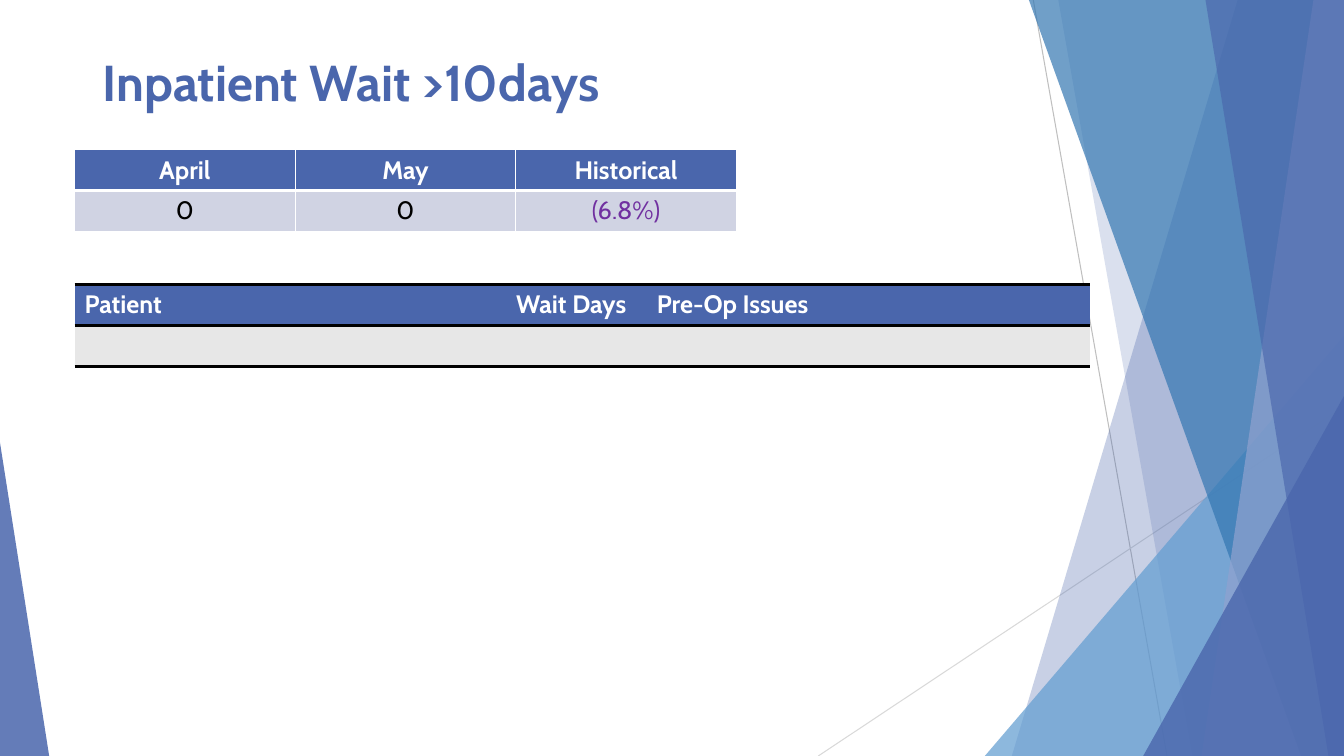
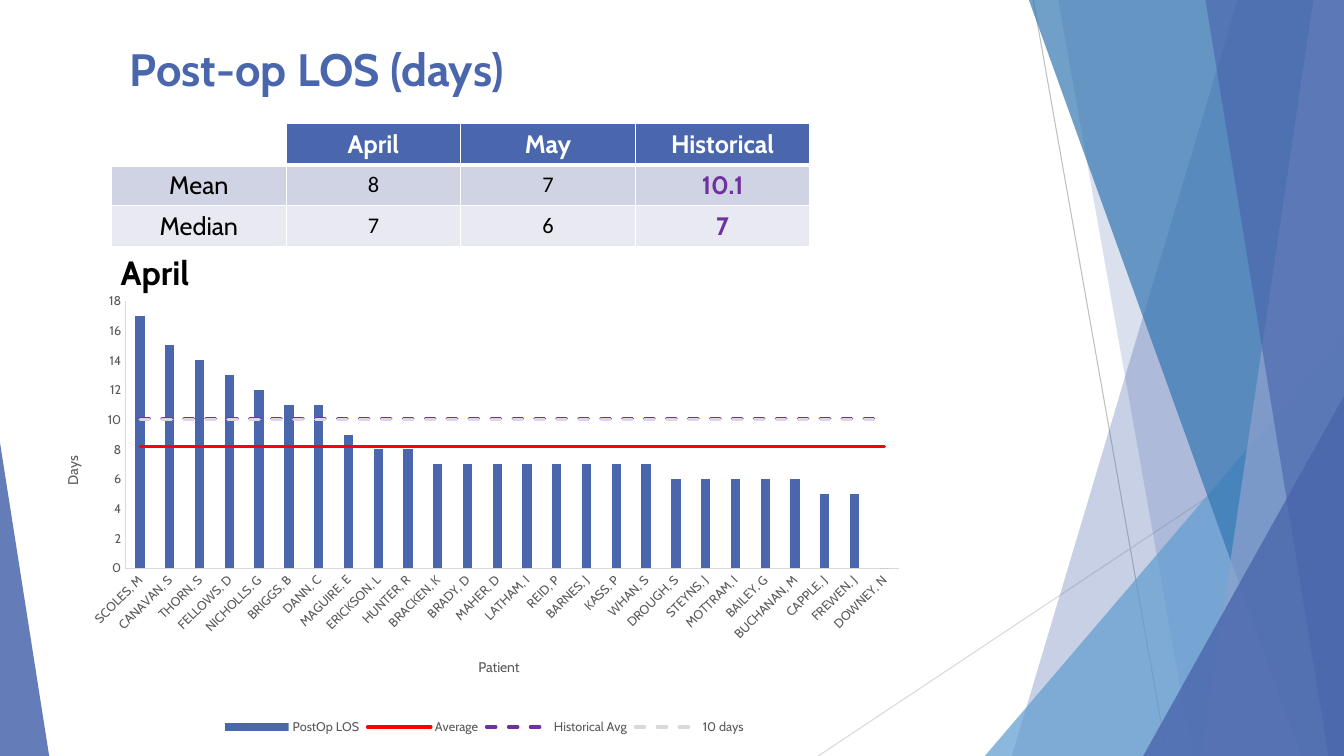
"""Builds two slides on inpatient waits and post-operative length of stay."""
from dataclasses import dataclass

from lxml.etree import SubElement
from pptx import Presentation
from pptx.chart.data import CategoryChartData
from pptx.dml.color import RGBColor
from pptx.enum.chart import XL_CHART_TYPE, XL_LEGEND_POSITION, XL_MARKER_STYLE, XL_TICK_MARK
from pptx.enum.dml import MSO_LINE
from pptx.enum.shapes import MSO_CONNECTOR, MSO_SHAPE
from pptx.enum.text import MSO_ANCHOR, PP_ALIGN
from pptx.oxml.ns import qn
from pptx.util import Cm, Pt

WIDTH, HEIGHT = 33.87, 19.05
CENTER, LEFT = PP_ALIGN.CENTER, PP_ALIGN.LEFT


@dataclass(frozen=True)
class TextStyle:
    size: float
    color: str
    bold: bool = False
    font: str = "Cabin"


@dataclass(frozen=True)
class Theme:
    blue: str = "4A66AC"
    sky: str = "629DD1"
    ocean: str = "3477B2"
    lavender: str = "90A2CF"
    purple: str = "7030A0"
    red: str = "FF0000"
    white: str = "FFFFFF"
    black: str = "000000"
    silver: str = "D9D9D9"
    gray: str = "BFBFBF"
    band_dark: str = "D0D3E3"
    band_light: str = "E9EAF1"
    band_gray: str = "E7E7E7"
    title: TextStyle = TextStyle(36, blue, True)
    title_small: TextStyle = TextStyle(32.4, blue, True)
    subtitle: TextStyle = TextStyle(24, black, True)
    header: TextStyle = TextStyle(18, white, True)
    body: TextStyle = TextStyle(18, black)
    number: TextStyle = TextStyle(16, black, font="Calibri")
    historical: TextStyle = TextStyle(18, purple)
    historical_bold: TextStyle = TextStyle(18, purple, True)
    axis: TextStyle = TextStyle(9, "595959")
    axis_title: TextStyle = TextStyle(10, "595959")


THEME = Theme()
WHITE_GRID = (THEME.white, {"L": 1, "R": 1, "T": 1, "B": 3}, {"L": 1, "R": 1, "B": 1})
BLACK_RULES = (THEME.black, {"T": 2, "B": 2}, {"B": 2})


def rgb(color):
    return RGBColor.from_string(color)


def style_font(font, style):
    font.name, font.size, font.bold = style.font, Pt(style.size), style.bold
    font.color.rgb = rgb(style.color)


def style_line(line, color, width):
    line.color.rgb = rgb(color)
    line.width = Pt(width)


def style_text(frame, text, style, align=LEFT):
    frame.text = text
    for para in frame.paragraphs:
        para.alignment = align
        style_font(para.font, style)
        for span in para.runs:
            style_font(span.font, style)


def set_layout(parent, index, **values):
    layout = parent.find(qn("c:layout"))
    if layout is None:
        layout = parent.makeelement(qn("c:layout"), {})
        parent.insert(index, layout)
    manual = SubElement(layout, qn("c:manualLayout"))
    for name, value in values.items():
        SubElement(manual, qn(f"c:{name}"), val=str(value))


class SlideBuilder:
    def __init__(self):
        self.deck = Presentation()
        self.deck.slide_width, self.deck.slide_height = Cm(WIDTH), Cm(HEIGHT)
        self.page = None

    def new_page(self):
        self.page = self.deck.slides.add_slide(self.deck.slide_layouts[6])
        self.line(26.04, 0, 29.41, HEIGHT, THEME.gray)
        self.line(WIDTH, 10.24, 20.62, HEIGHT, THEME.silver)
        self.band(31.19, 25.5, THEME.blue, 30)
        self.band(26.67, 30.05, THEME.blue, 20)
        self.triangle(WIDTH - 9.05, 9.05, 10.59, 1, THEME.sky, 72)
        self.band(25.93, 32.79, THEME.ocean, 70)
        self.band(33.1, 30.28, THEME.lavender, 70)
        self.band(30.38, 33.48, THEME.blue, 65)
        self.triangle(WIDTH - 5.06, 5.06, 9.07, 1, THEME.blue, 80)
        self.triangle(0, 1.24, 7.9, 0, THEME.blue, 85)

    def line(self, x1, y1, x2, y2, color):
        connector = self.page.shapes.add_connector(
            MSO_CONNECTOR.STRAIGHT, Cm(x1), Cm(y1), Cm(x2), Cm(y2))
        style_line(connector.line, color, 0.75)
        SubElement(connector.element.spPr, qn("a:effectLst"))

    def paint(self, shape, color, opacity):
        shape.shadow.inherit = False
        shape.fill.solid()
        shape.fill.fore_color.rgb = rgb(color)
        shape.line.fill.background()
        tint = next(shape.element.iter(qn("a:srgbClr")))
        SubElement(tint, qn("a:alpha"), val=str(opacity * 1000))

    def band(self, top_x, bottom_x, color, opacity):
        outline = self.page.shapes.build_freeform(Cm(top_x), 0)
        outline.add_line_segments(
            [(Cm(WIDTH), 0), (Cm(WIDTH), Cm(HEIGHT)), (Cm(bottom_x), Cm(HEIGHT))])
        self.paint(outline.convert_to_shape(), color, opacity)

    def triangle(self, left, width, height, apex, color, opacity):
        shape = self.page.shapes.add_shape(
            MSO_SHAPE.ISOSCELES_TRIANGLE, Cm(left), Cm(HEIGHT - height), Cm(width), Cm(height))
        shape.adjustments[0] = apex
        self.paint(shape, color, opacity)

    def text(self, left, top, width, height, text, style, anchor=MSO_ANCHOR.MIDDLE):
        box = self.page.shapes.add_textbox(Cm(left), Cm(top), Cm(width), Cm(height))
        box.text_frame.word_wrap = True
        box.text_frame.vertical_anchor = anchor
        style_text(box.text_frame, text, style)

    def borders(self, cell, color, edges):
        properties = cell._tc.get_or_add_tcPr()
        for index, (side, width) in enumerate(edges.items()):
            edge = properties.makeelement(qn(f"a:ln{side}"), {"w": str(Pt(width))})
            SubElement(SubElement(edge, qn("a:solidFill")), qn("a:srgbClr"), val=color)
            properties.insert(index, edge)

    def table(self, left, top, widths, aligns, fills, rows, rules):
        row_height = 1.03
        frame = self.page.shapes.add_table(
            len(rows), len(widths), Cm(left), Cm(top), Cm(sum(widths)), Cm(row_height * len(rows)))
        table = frame.table
        table.first_row = table.horz_banding = False
        next(frame._element.iter(qn("a:tableStyleId"))).text = "{2D5ABB26-0587-4C30-8999-92F81FD0307C}"
        for column, width in zip(table.columns, widths):
            column.width = Cm(width)
        color, header_edges, body_edges = rules
        for row_index, (fill, values) in enumerate(zip(fills, rows)):
            table.rows[row_index].height = Cm(row_height)
            for column_index, (text, style) in enumerate(values):
                cell = table.cell(row_index, column_index)
                cell.vertical_anchor = MSO_ANCHOR.MIDDLE
                style_text(cell.text_frame, text, style, aligns[column_index])
                if row_index or text:
                    cell.fill.solid()
                    cell.fill.fore_color.rgb = rgb(fill)
                else:
                    cell.fill.background()
                self.borders(cell, color, body_edges if row_index else header_edges)

    def axis(self, axis, title, rotation, x, y):
        axis.has_major_gridlines = False
        axis.major_tick_mark = axis.minor_tick_mark = XL_TICK_MARK.NONE
        style_line(axis.format.line, THEME.silver, 0.75)
        style_font(axis.tick_labels.font, THEME.axis)
        style_text(axis.axis_title.text_frame, title, THEME.axis_title, CENTER)
        element = axis.axis_title._element
        next(element.iter(qn("a:bodyPr"))).set("rot", str(rotation))
        set_layout(element, 1, xMode="edge", yMode="edge", x=x, y=y)

    def combined_chart(self, left, top, width, height, categories, bars, lines):
        data = CategoryChartData(number_format="General")
        data.categories = categories
        data.add_series(*bars)
        for name, value, _, _ in lines:
            data.add_series(name, [value] * len(categories))
        chart = self.page.shapes.add_chart(
            XL_CHART_TYPE.COLUMN_CLUSTERED, Cm(left), Cm(top), Cm(width), Cm(height), data).chart
        chart.has_title = False
        style_font(chart.font, THEME.axis)
        chart.has_legend = True
        chart.legend.position = XL_LEGEND_POSITION.BOTTOM
        chart.legend.include_in_layout = False
        style_font(chart.legend.font, THEME.axis)
        self.axis(chart.category_axis, "Patient", 0, 0.49, 0.82)
        self.axis(chart.value_axis, "Days", -5400000, 0.01, 0.39)
        labels = chart.category_axis._element.find(qn("c:txPr"))
        labels.find(qn("a:bodyPr")).set("rot", "-2700000")
        chart.value_axis.minimum_scale, chart.value_axis.maximum_scale = 0, 18
        chart.value_axis.major_unit = 2
        chart.value_axis.tick_labels.number_format = "0"
        chart.value_axis.tick_labels.number_format_is_linked = False
        columns = chart.plots[0]
        columns.gap_width, columns.overlap, columns.vary_by_categories = 219, -27, False
        columns.series[0].format.fill.solid()
        columns.series[0].format.fill.fore_color.rgb = rgb(THEME.blue)
        self.move_to_lines(columns._element)
        for series, (_, _, color, dash) in zip(chart.plots[1].series, lines):
            style_line(series.format.line, color, 2.25)
            series.format.line.dash_style = dash
            next(series._element.iter(qn("a:ln"))).set("cap", "rnd")
            series.marker.style = XL_MARKER_STYLE.NONE
            series.smooth = False
        area = columns._element.getparent()
        set_layout(area, 0, layoutTarget="inner", xMode="edge", yMode="edge",
                   x=0.085, y=0.064, w=0.894, h=0.571)

    def move_to_lines(self, bar_plot):
        line_plot = bar_plot.makeelement(qn("c:lineChart"), {})
        SubElement(line_plot, qn("c:grouping"), val="standard")
        SubElement(line_plot, qn("c:varyColors"), val="0")
        for series in bar_plot.findall(qn("c:ser"))[1:]:
            for flag in series.findall(qn("c:invertIfNegative")):
                series.remove(flag)
            line_plot.append(series)
        SubElement(line_plot, qn("c:marker"), val="1")
        for axis_id in bar_plot.findall(qn("c:axId")):
            SubElement(line_plot, qn("c:axId"), val=axis_id.get("val"))
        bar_plot.addnext(line_plot)


def styled(texts, style):
    return [(text, style) for text in texts]


def wait_page(builder):
    builder.new_page()
    builder.text(2.34, 1.02, 20.68, 2.06, "Inpatient Wait >10days", THEME.title)
    builder.table(
        1.88, 3.77, [5.56] * 3, [CENTER] * 3, [THEME.blue, THEME.band_dark],
        [styled(["April", "May", "Historical"], THEME.header),
         styled(["0", "0"], THEME.body) + [("(6.8%)", THEME.historical)]], WHITE_GRID)
    builder.table(
        1.88, 7.17, [10.61, 3.81, 11.18], [LEFT, CENTER, LEFT], [THEME.blue, THEME.band_gray],
        [styled(["Patient", "Wait Days", "Pre-Op Issues"], THEME.header),
         styled([""] * 3, THEME.body)], BLACK_RULES)


def stay_page(builder):
    builder.new_page()
    builder.text(3.02, 0.91, 21.62, 1.63, "Post-op LOS (days)", THEME.title_small)
    rows = [styled(["", "April", "May", "Historical"], THEME.header)]
    for label, april, may, historical in [("Mean", "8", "7", "10.1"), ("Median", "7", "6", "7")]:
        rows.append([(label, THEME.body), *styled([april, may], THEME.number),
                     (historical, THEME.historical_bold)])
    builder.table(2.81, 3.12, [4.4] * 4, [CENTER] * 4,
                  [THEME.blue, THEME.band_dark, THEME.band_light], rows, WHITE_GRID)
    patients = [
        "SCOLES, M", "CANAVAN, S", "THORN, S", "FELLOWS, D", "NICHOLLS, G", "BRIGGS, B",
        "DANN, C", "MAGUIRE, E", "ERICKSON, L", "HUNTER, R", "BRACKEN, K", "BRADY, D",
        "MAHER, D", "LATHAM, I", "REID, P", "BARNES, J", "KASS, P", "WHAN, S", "DROUGH, S",
        "STEYNS, J", "MOTTRAM, I", "BAILEY, G", "BUCHANAN, M", "CAPPLE, J", "FREWEN, J",
        "DOWNEY, N"]
    days = [17, 15, 14, 13, 12, 11, 11, 9, 8, 8] + [7] * 8 + [6] * 5 + [5, 5, 0]
    builder.combined_chart(
        1.3, 6.83, 21.82, 11.79, patients, ("PostOp LOS", days),
        [("Average", 8.2, THEME.red, MSO_LINE.SOLID),
         ("Historical Avg", 10.1, THEME.purple, MSO_LINE.DASH),
         ("10 days", 10, THEME.silver, MSO_LINE.DASH)])
    builder.text(2.79, 6.22, 13.64, 1.83, "April", THEME.subtitle, MSO_ANCHOR.TOP)


def main():
    builder = SlideBuilder()
    wait_page(builder)
    stay_page(builder)
    builder.deck.save("out.pptx")


if __name__ == "__main__":
    main()
